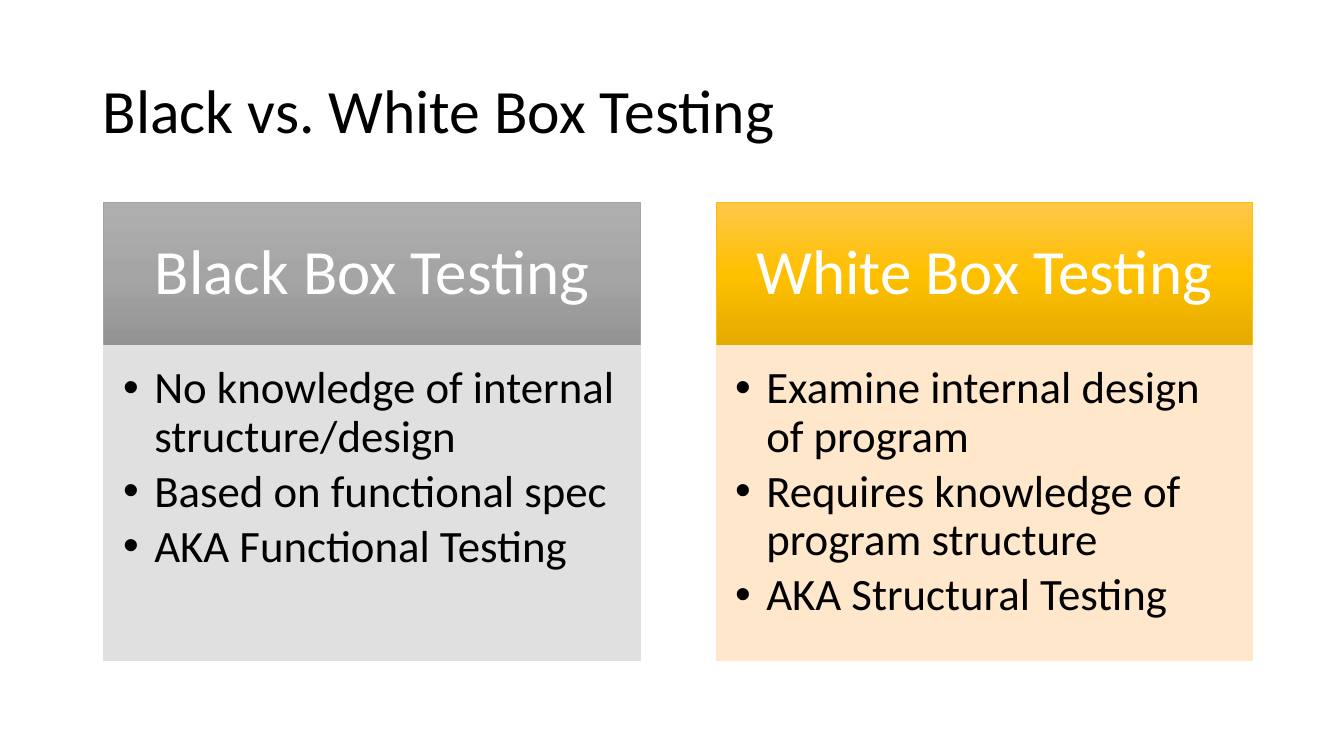
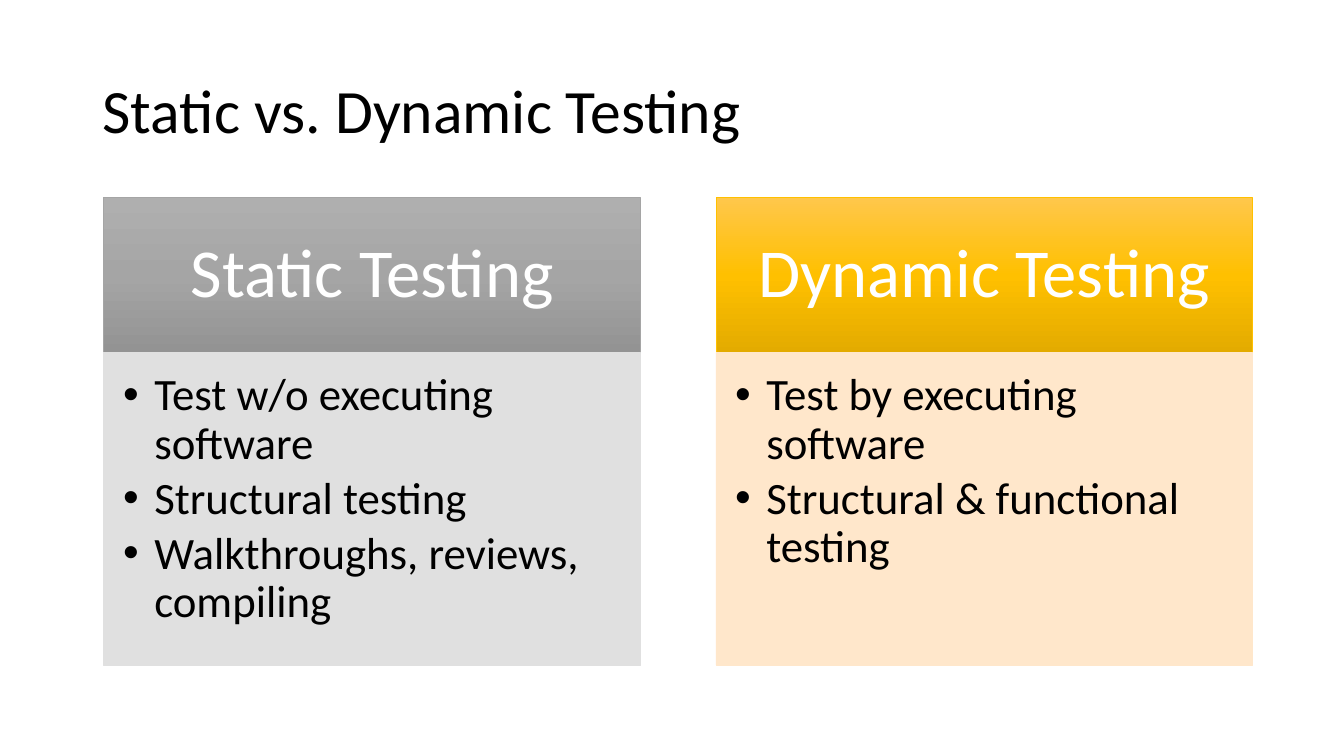
from copy import deepcopy

from lxml import etree
from pptx import Presentation
from pptx.dml.color import RGBColor
from pptx.enum.shapes import MSO_SHAPE
from pptx.enum.text import MSO_ANCHOR, PP_ALIGN
from pptx.oxml.ns import qn
from pptx.util import Pt

PX = 9144
RECT = MSO_SHAPE.RECTANGLE
TOP, MID = MSO_ANCHOR.TOP, MSO_ANCHOR.MIDDLE
LEFT, MIDDLE = PP_ALIGN.LEFT, PP_ALIGN.CENTER

FONT = "Calibri"
BLACK = RGBColor(0x00, 0x00, 0x00)
WHITE = RGBColor(0xFF, 0xFF, 0xFF)
GRAY = RGBColor(0xA5, 0xA5, 0xA5)
GRAY_HI = RGBColor(0xAF, 0xAF, 0xAF)
GRAY_LO = RGBColor(0x93, 0x93, 0x93)
GRAY_PALE = RGBColor(0xE0, 0xE0, 0xE0)
GOLD = RGBColor(0xFF, 0xC0, 0x00)
GOLD_HI = RGBColor(0xFF, 0xC7, 0x4B)
GOLD_LO = RGBColor(0xE3, 0xAB, 0x00)
GOLD_PALE = RGBColor(0xFF, 0xE7, 0xCB)

THEMES = [
    ((GRAY_HI, GRAY, GRAY_LO), GRAY_PALE),
    ((GOLD_HI, GOLD, GOLD_LO), GOLD_PALE),
]

SLIDES = [
    {
        "title": "Black vs. White Box Testing",
        "top": 201, "head": 142, "body": 312, "size": 45, "pad": (35, 20, 35, 20),
        "cards": [
            ("Black Box Testing", [
                "No knowledge of internal structure/design",
                "Based on functional spec",
                "AKA Functional Testing",
            ]),
            ("White Box Testing", [
                "Examine internal design of program",
                "Requires knowledge of program structure",
                "AKA Structural Testing",
            ]),
        ],
    },
    {
        "title": "Static vs. Dynamic Testing",
        "top": 196, "head": 154, "body": 310, "size": 49, "pad": (38, 22, 38, 22),
        "cards": [
            ("Static Testing", [
                "Test w/o executing software",
                "Structural testing",
                "Walkthroughs, reviews, compiling",
            ]),
            ("Dynamic Testing", [
                "Test by executing software",
                "Structural & functional testing",
            ]),
        ],
    },
]

WIDE, HIGH = 1333, 750
TITLE_BOX = (92, 40, 1150, 145)
TITLE_PAD = (10, 5, 10, 5)
CARD_X, CARD_W, CARD_GAP = 103, 532, 75
BODY_PAD = (19, 19, 25, 28)
INDENT = 31


def emu(nums):
    return [n * PX for n in nums]


def write(shape, lines, size, color, pad, anchor=MID, align=LEFT, after=0, bullet=False):
    frame = shape.text_frame
    frame.word_wrap = True
    frame.vertical_anchor = anchor
    (frame.margin_left, frame.margin_top,
     frame.margin_right, frame.margin_bottom) = emu(pad)
    for i, line in enumerate(lines):
        para = frame.add_paragraph() if i else frame.paragraphs[0]
        para.alignment = align
        para.line_spacing = 0.9
        para.space_after = Pt(after)
        if bullet:
            props = para._p.get_or_add_pPr()
            props.set("marL", str(INDENT * PX))
            props.set("indent", str(-INDENT * PX))
            etree.SubElement(props, qn("a:buFont")).set("typeface", "Arial")
            etree.SubElement(props, qn("a:buChar")).set("char", "•")
        run = para.add_run()
        run.text = line
        run.font.name = FONT
        run.font.size = Pt(size)
        run.font.color.rgb = color


def shade(fill, shape, colors):
    fill.gradient()
    fill.gradient_angle = 270
    stops = shape._element.spPr.find(qn("a:gradFill")).find(qn("a:gsLst"))
    stops.insert(1, deepcopy(stops[0]))
    for i, (stop, color) in enumerate(zip(fill.gradient_stops, colors)):
        stop.position = i / (len(colors) - 1)
        stop.color.rgb = color


def add_box(slide, box, edge):
    shape = slide.shapes.add_shape(RECT, *emu(box))
    shape.shadow.inherit = False
    shape.line.color.rgb = edge
    shape.line.width = Pt(0.5)
    return shape


def add_card(slide, data, x, card, theme):
    name, points = card
    colors, pale = theme
    top, high = data["top"], data["head"]
    head = add_box(slide, (x, top, CARD_W, high), colors[1])
    shade(head.fill, head, colors)
    write(head, [name], data["size"], WHITE, data["pad"], align=MIDDLE)
    body = add_box(slide, (x, top + high, CARD_W, data["body"]), pale)
    body.fill.solid()
    body.fill.fore_color.rgb = pale
    write(body, points, 32, BLACK, BODY_PAD, anchor=TOP, after=4.8, bullet=True)


def main():
    deck = Presentation()
    deck.slide_width, deck.slide_height = emu((WIDE, HIGH))
    for data in SLIDES:
        slide = deck.slides.add_slide(deck.slide_layouts[6])
        title = slide.shapes.add_textbox(*emu(TITLE_BOX))
        write(title, [data["title"]], 44, BLACK, TITLE_PAD)
        for i, (card, theme) in enumerate(zip(data["cards"], THEMES)):
            add_card(slide, data, CARD_X + i * (CARD_W + CARD_GAP), card, theme)
    deck.save("out.pptx")


if __name__ == "__main__":
    main()
